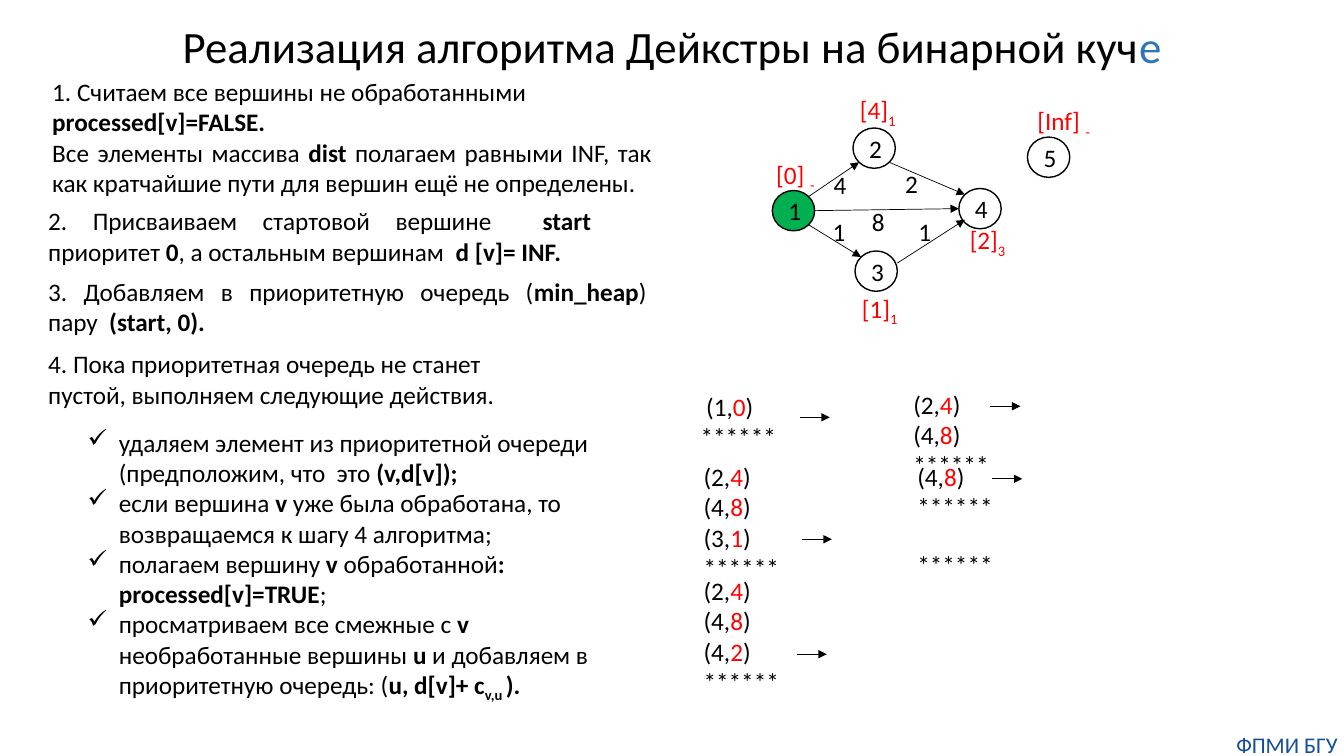
"""Builds the slide on Dijkstra's algorithm with a binary heap."""
from lxml import etree
from pptx import Presentation
from pptx.dml.color import RGBColor
from pptx.enum import shapes, text
from pptx.oxml.ns import qn
from pptx.util import Inches, Pt

BLACK, RED, GREEN = "000000", "FF0000", "00B050"
LEFT, CENTER, JUSTIFY = text.PP_ALIGN.LEFT, text.PP_ALIGN.CENTER, text.PP_ALIGN.JUSTIFY
color = RGBColor.from_string

deck = Presentation()
deck.slide_width, deck.slide_height = Inches(13.33), Inches(7.5)
slide = deck.slides.add_slide(deck.slide_layouts[5])


def write(frame, paragraphs, align=LEFT, size=18, ink=BLACK):
    """Fills a frame; a run is (text, style, colour), style b = bold, s = subscript."""
    for number, runs in enumerate(paragraphs):
        paragraph = frame.add_paragraph() if number else frame.paragraphs[0]
        paragraph.alignment = align
        for words, style, run_ink in ((*run, "", "")[:3] for run in runs):
            run = paragraph.add_run()
            run.text = words
            run.font.name, run.font.size = "Calibri", Pt(size)
            run.font.bold = "b" in style
            run.font.color.rgb = color(run_ink or ink)
            if "s" in style:
                run.font._element.set("baseline", "-25000")


def add_text(left, top, width, height, paragraphs, wrap=True, **look):
    """Adds a text box and returns its frame."""
    frame = slide.shapes.add_textbox(*map(Inches, (left, top, width, height))).text_frame
    frame.word_wrap = wrap
    frame.auto_size = text.MSO_AUTO_SIZE.SHAPE_TO_FIT_TEXT
    write(frame, paragraphs, **look)
    return frame


title = slide.shapes.title
title.left, title.top, title.width, title.height = map(Inches, (1.62, 0.08, 10.09, 0.81))
title.text_frame.vertical_anchor = text.MSO_ANCHOR.MIDDLE
write(title.text_frame, [[("Реализация алгоритма Дейкстры на бинарной куч",), ("е", "", "2E75B6")]],
      align=CENTER, size=32)
title.text_frame.paragraphs[0].line_spacing = 0.9

init_step = add_text(0.42, 0.71, 6.14, 1.31, [
    [("1. Считаем все вершины не обработанными ",), ("processed[v]=FALSE.", "b")],
    [("Все элементы массива ",), ("dist ", "b"),
     ("полагаем равными INF, так как кратчайшие пути для вершин ещё не определены.",)]])
init_step.paragraphs[1].alignment = JUSTIFY
add_text(0.38, 1.99, 5.58, 0.71, [
    [("2. Присваиваем стартовой вершине  ",), ("start ", "b"), ("приоритет ",), ("0", "b"),
     (", а остальным вершинам  ",), ("d [v]= INF. ", "b")]], align=JUSTIFY)
add_text(0.38, 2.69, 6.13, 0.71, [
    [("3. Добавляем в приоритетную очередь (",), ("min_heap", "b"), (") пару  ",),
     ("(start, 0). ", "b")]], align=JUSTIFY)
add_text(0.38, 3.41, 5.19, 0.71, [
    [("4. Пока приоритетная очередь не станет пустой, выполняем следующие действия.",)]])

loop_actions = add_text(0.77, 4.19, 5.69, 2.83, [
    [("удаляем элемент из приоритетной очереди (предположим, что  это ",), ("(v,d[v]);", "b")],
    [("если вершина ",), ("v ", "b"),
     ("уже была обработана, то возвращаемся к шагу 4 алгоритма;",)],
    [("полагаем вершину ",), ("v ", "b"), ("обработанной",), (": processed[v]=TRUE", "b"), (";",)],
    [("просматриваем все смежные с ",), ("v", "b"), (" необработанные вершины ",), ("u ", "b"),
     ("и добавляем в приоритетную очередь: (",), ("u, d[v]+ c", "b"), ("v,u ", "bs"),
     (").", "b")]])
for action in loop_actions.paragraphs:
    properties = action._p.get_or_add_pPr()
    properties.set("marL", str(Inches(0.31)))
    properties.set("indent", str(-Inches(0.31)))
    etree.SubElement(properties, qn("a:buChar")).set("char", "✓")

for vertex, left, top in [("1", 7.66, 1.89), ("2", 8.46, 1.27), ("3", 8.48, 2.49),
                          ("4", 9.51, 1.87), ("5", 10.19, 1.36)]:
    node = slide.shapes.add_shape(shapes.MSO_SHAPE.OVAL, *map(Inches, (left, top, 0.42, 0.4)))
    node.shadow.inherit = False
    node.line.color.rgb, node.line.width = color(BLACK), Pt(1)
    if vertex == "1":
        node.fill.solid()
        node.fill.fore_color.rgb = color(GREEN)
    else:
        node.fill.background()
    node.text_frame.vertical_anchor = text.MSO_ANCHOR.MIDDLE
    write(node.text_frame, [[(vertex,)]], align=CENTER)

edges = [(8.02, 1.95, 8.52, 1.61), (8.82, 1.61, 9.57, 1.93), (8.02, 2.23, 8.54, 2.55),
         (8.9, 2.61, 9.57, 2.18), (8.08, 2.09, 9.51, 2.07)]
extractions = [(left, y, left + 0.3, y) for left, y in
               [(7.93, 4.14), (7.95, 5.35), (7.9, 6.49), (9.82, 4.03), (9.84, 4.75)]]
for ends in edges + extractions:
    arrow = slide.shapes.add_connector(shapes.MSO_CONNECTOR.STRAIGHT, *map(Inches, ends))
    arrow.line.color.rgb, arrow.line.width = color(BLACK), Pt(0.5)
    etree.SubElement(arrow.line._get_or_add_ln(), qn("a:tailEnd")).set("type", "triangle")
    etree.SubElement(arrow._element.spPr, qn("a:effectLst"))

for weight, left, top in [("4", 8.17, 1.63), ("8", 8.55, 2), ("1", 9.01, 2.1),
                          ("1", 8.16, 2.1), ("2", 8.88, 1.62)]:
    add_text(left, top, 0.33, 0.4, [[(weight,)]], wrap=False)

for distance, parent, left, top, width in [
        ("[0] ", "-", 7.6, 1.53, 0.59), ("[4]", "1", 8.43, 0.89, 0.57),
        ("[1]", "1", 8.45, 2.86, 0.57), ("[2]", "3", 9.52, 2.18, 0.57),
        ("[Inf] ", "-", 10.19, 1, 0.74)]:
    add_text(left, top, width, 0.4, [[(distance,), (parent, "s")]], wrap=False, ink=RED)

for left, top, pairs in [
        (6.85, 3.83, [(" (1,", "0")]),
        (6.88, 4.53, [("(2,", "4"), ("(4,", "8"), ("(3,", "1")]),
        (6.88, 5.66, [("(2,", "4"), ("(4,", "8"), ("(4,", "2")]),
        (8.96, 3.81, [("(2,", "4"), ("(4,", "8")]),
        (9, 4.53, [("(4,", "8")]),
        (9, 5.4, [])]:
    heap = [[(vertex,), (priority, "", RED), (")",)] for vertex, priority in pairs]
    add_text(left, top, 0.96, 0.4 + 0.3 * len(pairs), heap + [[("******",)]], wrap=False)

faculty = add_text(12.2, 7.25, 1.13, 0.27, [[("ФПМИ БГУ",)]], align=CENTER, size=16, ink="144E9D")
faculty.margin_left = faculty.margin_top = faculty.margin_right = faculty.margin_bottom = 0

deck.save("out.pptx")
